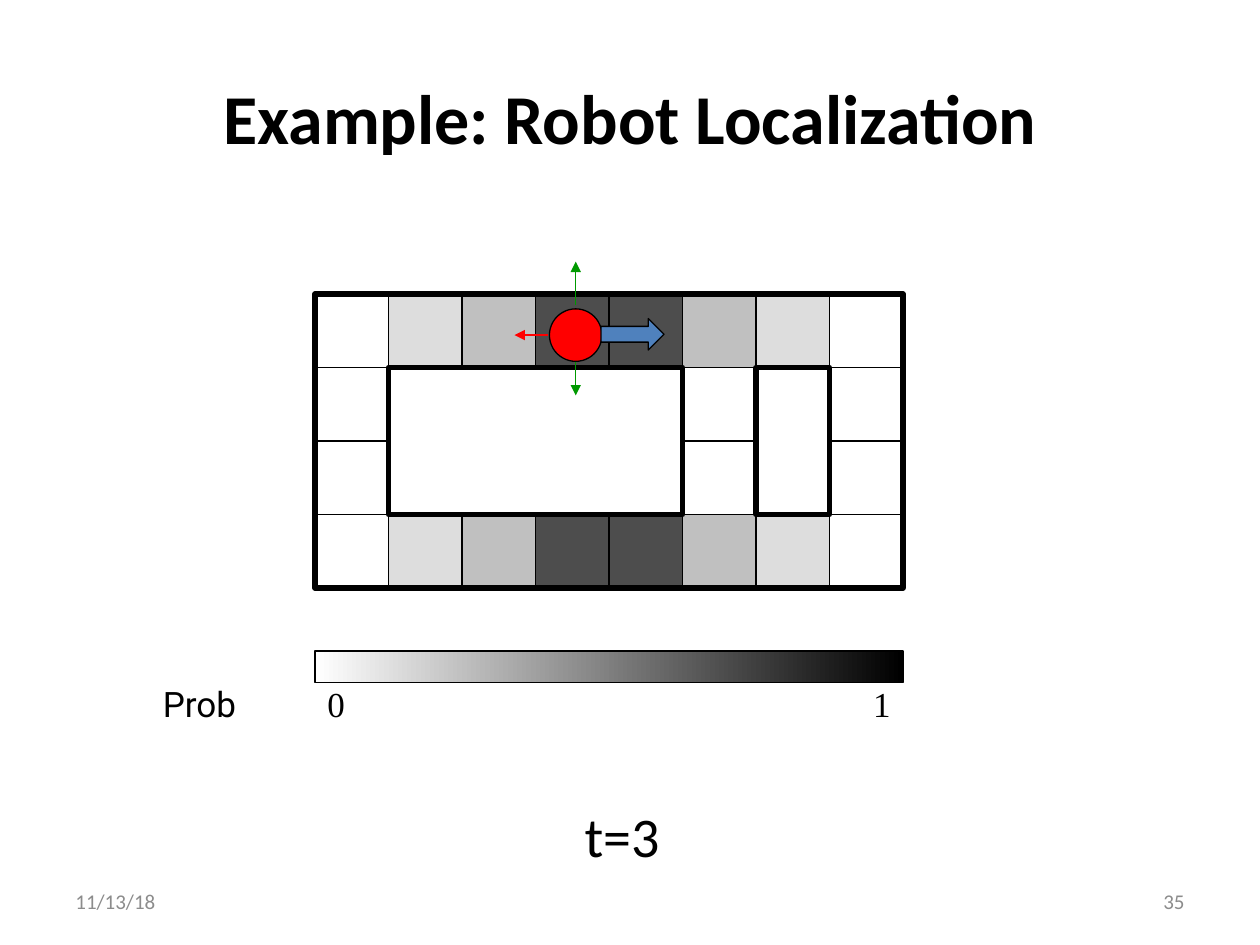
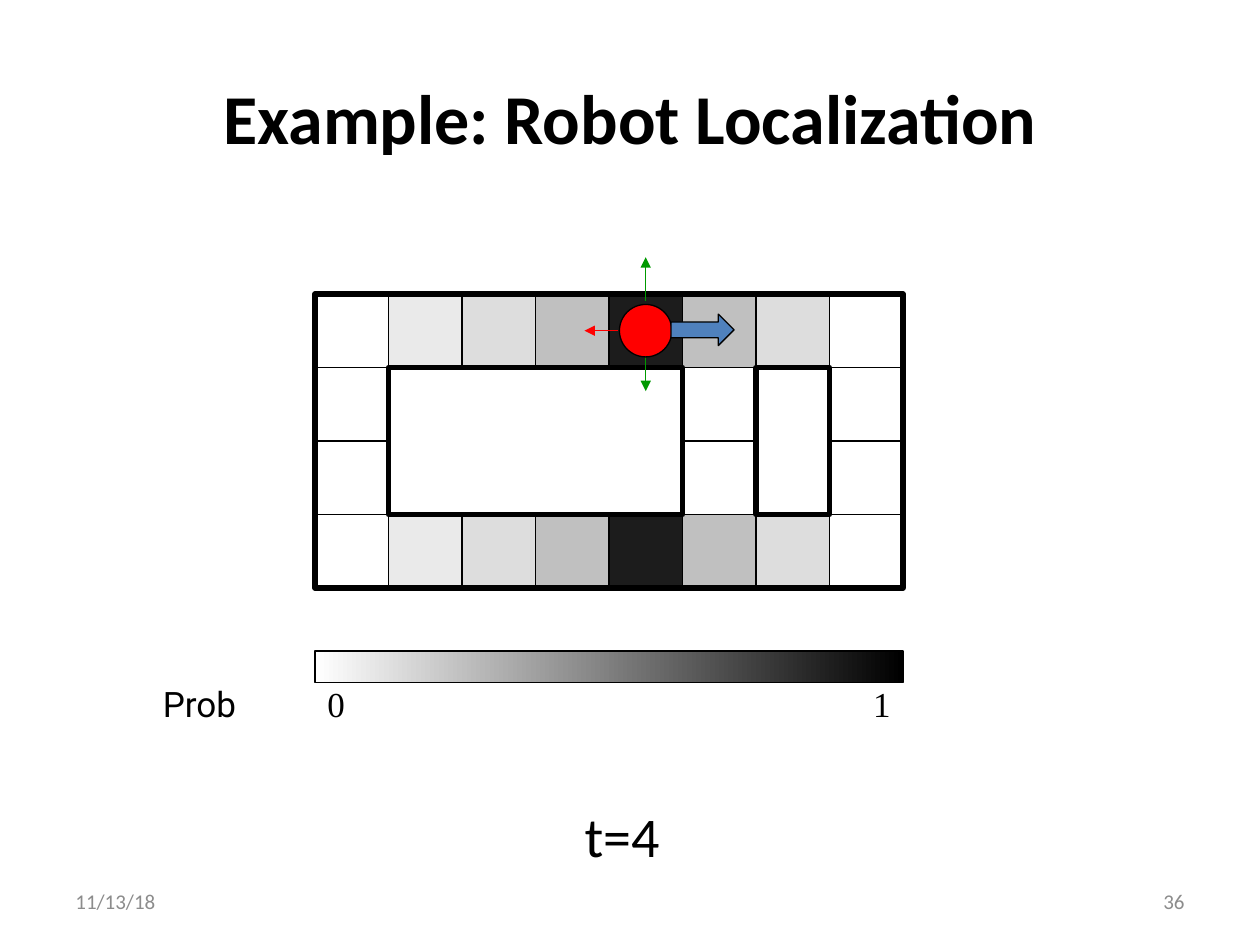
from dataclasses import dataclass

from lxml import etree
from pptx import Presentation
from pptx.dml.color import RGBColor
from pptx.enum import shapes, text
from pptx.oxml import ns
from pptx.util import Pt

LEFT, CENTER, RIGHT = text.PP_ALIGN.LEFT, text.PP_ALIGN.CENTER, text.PP_ALIGN.RIGHT
TOP, MIDDLE = text.MSO_ANCHOR.TOP, text.MSO_ANCHOR.MIDDLE
RECT = shapes.MSO_SHAPE.RECTANGLE


@dataclass(frozen=True)
class Theme:
    ink: str = "000000"
    paper: str = "FFFFFF"
    muted: str = "8C8C8C"
    robot: str = "FF0000"
    sensor: str = "009900"
    motion: str = "4F81BD"
    body_font: str = "Calibri"
    label_font: str = "Roboto"
    number_font: str = "Times New Roman"
    title_size: float = 40
    step_size: float = 32
    label_size: float = 20
    footer_size: float = 12
    thin: float = 0.75
    thick: float = 3


CELL = 42
COLUMNS, ROWS = 8, 4
MAP_LEFT, MAP_TOP = 180, 168
MAP_WIDTH, MAP_HEIGHT = COLUMNS * CELL, ROWS * CELL
CORRIDORS = (0, 5, 7)  # columns that stay open in the middle rows
SCALE_TOP, SCALE_HEIGHT = 372, 18
ROBOT_SIZE = 30

# step, page number, robot centre, shades of the top and bottom corridors
STEPS = [
    (3, 35, (329, 191.5),
     [None, "DDDDDD", "C0C0C0", "4D4D4D", "4D4D4D", "C0C0C0", "DDDDDD", None]),
    (4, 36, (369, 189),
     [None, "EAEAEA", "DDDDDD", "C0C0C0", "1C1C1C", "C0C0C0", "DDDDDD", None]),
]


def rgb(color):
    return RGBColor.from_string(color)


class Painter:
    """Holds the deck, its theme and the page being drawn."""

    def __init__(self, theme):
        self.theme = theme
        self.deck = Presentation()
        self.deck.slide_width, self.deck.slide_height = Pt(720), Pt(540)
        self.page = None

    def new_page(self):
        self.page = self.deck.slides.add_slide(self.deck.slide_layouts[6])

    def label(self, words, left, top, width, height, size, align=CENTER,
              font=None, color=None, bold=False, anchor=MIDDLE):
        box = self.page.shapes.add_textbox(Pt(left), Pt(top), Pt(width), Pt(height))
        frame = box.text_frame
        frame.word_wrap = True
        frame.vertical_anchor = anchor
        para = frame.paragraphs[0]
        para.text = words
        para.alignment = align
        para.font.name = font or self.theme.body_font
        para.font.size = Pt(size)
        para.font.bold = bold
        para.font.color.rgb = rgb(color or self.theme.ink)

    def shape(self, kind, left, top, width, height, fill=None, weight=None):
        shape = self.page.shapes.add_shape(kind, Pt(left), Pt(top), Pt(width), Pt(height))
        shape.shadow.inherit = False
        shape.line.color.rgb = rgb(self.theme.ink)
        shape.line.width = Pt(weight or self.theme.thin)
        if fill:
            shape.fill.solid()
            shape.fill.fore_color.rgb = rgb(fill)
        else:
            shape.fill.background()
        return shape

    def gradient_bar(self, left, top, width, height, colors):
        bar = self.shape(RECT, left, top, width, height)
        bar.fill.gradient()
        bar.fill.gradient_angle = 0
        for stop, color in zip(bar.fill.gradient_stops, colors):
            stop.color.rgb = rgb(color)

    def arrow(self, start, end, color):
        arrow = self.page.shapes.add_connector(
            shapes.MSO_CONNECTOR.STRAIGHT, *map(Pt, (*start, *end)))
        arrow.line.color.rgb = rgb(color)
        arrow.line.width = Pt(self.theme.thin)
        etree.SubElement(arrow.line._get_or_add_ln(), ns.qn("a:tailEnd"), type="triangle")
        etree.SubElement(arrow._element.spPr, ns.qn("a:effectLst"))


def draw_frame(painter, step, number):
    """Title, time step and footer."""
    theme = painter.theme
    painter.label("Example: Robot Localization", 36, 21.6, 648, 90, theme.title_size, bold=True)
    painter.label(f"t={step}", 49.5, 454.5, 612, 72, theme.step_size, anchor=TOP)
    for words, left, align in (("11/13/18", 36, LEFT), (str(number), 516, RIGHT)):
        painter.label(words, left, 500.5, 168, 28.75, theme.footer_size, align, color=theme.muted)


def draw_map(painter, shades):
    theme = painter.theme
    for row in range(ROWS):
        outer = row in (0, ROWS - 1)
        for column in range(COLUMNS) if outer else CORRIDORS:
            painter.shape(RECT, MAP_LEFT + column * CELL, MAP_TOP + row * CELL, CELL, CELL,
                          shades[column] if outer else None)
    # walls: column, row, width and height in cells
    for column, row, width, height, fill in (
            (1, 1, 4, 2, theme.paper), (0, 0, COLUMNS, ROWS, None), (6, 1, 1, 2, None)):
        painter.shape(RECT, MAP_LEFT + column * CELL, MAP_TOP + row * CELL,
                      width * CELL, height * CELL, fill, theme.thick)


def draw_scale(painter):
    theme = painter.theme
    painter.gradient_bar(MAP_LEFT, SCALE_TOP, MAP_WIDTH, SCALE_HEIGHT, (theme.ink, theme.paper)[::-1])
    half = MAP_WIDTH / 2
    for words, left, width, align, font in (
            ("1", MAP_LEFT + half, half, RIGHT, theme.number_font),
            ("0", MAP_LEFT, half, LEFT, theme.number_font),
            ("Prob", 60, 108, CENTER, theme.label_font)):
        painter.label(words, left, SCALE_TOP + SCALE_HEIGHT, width, 24,
                      theme.label_size, align, font)


def draw_robot(painter, x, y):
    """Robot centred on x, y with its four sensor rays and its motion arrow."""
    theme = painter.theme
    for start, end, color in (
            ((16, 0), (37, 0), theme.robot), ((-16, 0), (-35, 0), theme.robot),
            ((0, -17), (0, -42), theme.sensor), ((0, 14.5), (0, 34.5), theme.sensor)):
        painter.arrow((x + start[0], y + start[1]), (x + end[0], y + end[1]), color)
    painter.shape(shapes.MSO_SHAPE.OVAL, x - ROBOT_SIZE / 2, y - ROBOT_SIZE / 2,
                  ROBOT_SIZE, ROBOT_SIZE, theme.robot)
    painter.shape(shapes.MSO_SHAPE.RIGHT_ARROW, x + 14.5, y - 9.5, 36, 18, theme.motion)


def main():
    painter = Painter(Theme())
    for step, number, robot, shades in STEPS:
        painter.new_page()
        draw_frame(painter, step, number)
        draw_map(painter, shades)
        draw_scale(painter)
        draw_robot(painter, *robot)
    painter.deck.save("out.pptx")


if __name__ == "__main__":
    main()
